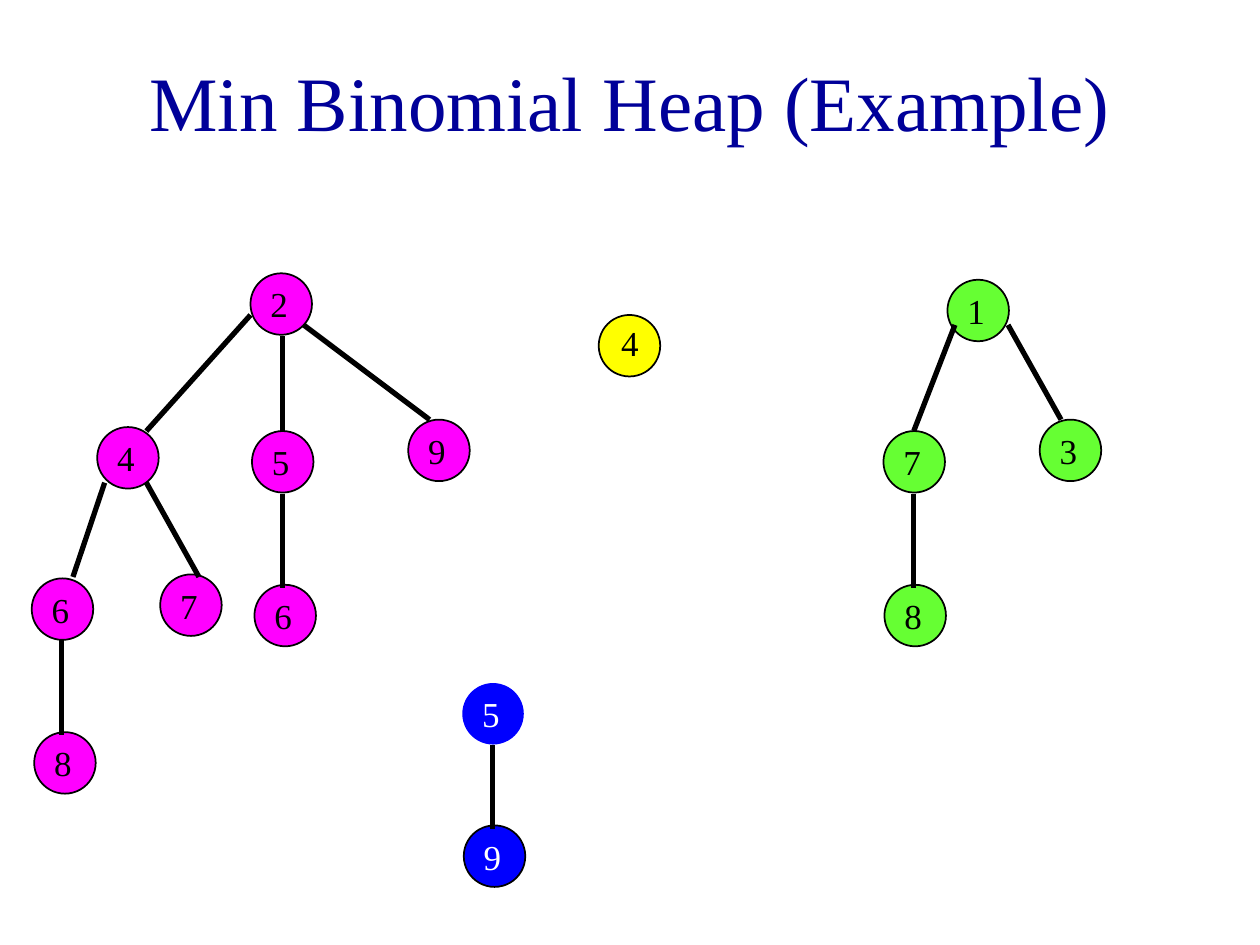
from pptx import Presentation
from pptx.dml.color import RGBColor
from pptx.enum.shapes import MSO_CONNECTOR, MSO_SHAPE
from pptx.enum.text import MSO_ANCHOR, MSO_AUTO_SIZE, PP_ALIGN
from pptx.oxml.ns import qn
from pptx.util import Cm, Pt
from lxml.etree import SubElement

BLACK = RGBColor(0x00, 0x00, 0x00)
WHITE = RGBColor(0xFF, 0xFF, 0xFF)
NAVY = RGBColor(0x00, 0x00, 0x99)
YELLOW = RGBColor(0xFF, 0xFF, 0x00)
GREEN = RGBColor(0x66, 0xFF, 0x33)
BLUE = RGBColor(0x00, 0x00, 0xFF)
MAGENTA = RGBColor(0xFF, 0x00, 0xFF)

FONT = "Times New Roman"
TITLE = "Min Binomial Heap (Example)"
NODE_SIZE = 1.24
LABEL_SIZE = (0.86, 1.09)
LABEL_SHIFT = (0.15, 0.07)

# fmt: off
TREES = [
    {"fill": YELLOW, "text": BLACK, "shift": (0.2, 0),
     "nodes": [("4", 12.07, 6.35)],
     "edges": []},
    {"fill": GREEN, "text": BLACK,
     "nodes": [("1", 19.1, 5.64), ("7", 17.81, 8.69),
               ("3", 20.96, 8.46), ("8", 17.83, 11.79)],
     "edges": [(18.42, 9.96, 18.42, 11.86), (19.25, 6.55, 18.42, 8.69),
               (20.32, 6.55, 21.39, 8.46)]},
    {"fill": BLUE, "text": WHITE, "plain_root": True,
     "nodes": [("5", 9.32, 13.77), ("9", 9.35, 16.64)],
     "edges": [(9.93, 15.01, 9.93, 16.71)]},
    {"fill": MAGENTA, "text": BLACK,
     "nodes": [("2", 5.05, 5.51), ("5", 5.08, 8.69), ("9", 8.23, 8.46),
               ("6", 5.13, 11.79), ("4", 1.96, 8.61), ("6", 0.64, 11.66),
               ("7", 3.23, 11.58), ("8", 0.69, 14.76)],
     "edges": [(5.69, 9.96, 5.69, 11.86), (5.69, 6.78, 5.69, 8.69),
               (6.12, 6.55, 8.66, 8.46), (1.24, 12.9, 1.24, 14.81),
               (2.11, 9.73, 1.47, 11.63), (2.95, 9.73, 4.01, 11.63),
               (5.05, 6.35, 2.95, 8.69)]},
]
# fmt: on


def set_all(obj, values):
    for name, value in values.items():
        setattr(obj, name, value)


def write(tf, text, size, color):
    p = tf.paragraphs[0]
    r = p.add_run()
    r.text = text
    set_all(r.font, {"name": FONT, "size": Pt(size)})
    r.font.color.rgb = color
    return p


def add_node(shapes, x, y, fill, outlined):
    sp = shapes.add_shape(MSO_SHAPE.OVAL, Cm(x), Cm(y), Cm(NODE_SIZE), Cm(NODE_SIZE))
    sp.shadow.inherit = False
    sp.fill.solid()
    sp.fill.fore_color.rgb = fill
    if outlined:
        sp.line.color.rgb = BLACK
        sp.line.width = Pt(1)
    else:
        sp.line.fill.background()


def add_label(shapes, text, x, y, color):
    tf = shapes.add_textbox(Cm(x), Cm(y), *map(Cm, LABEL_SIZE)).text_frame
    set_all(tf, {"word_wrap": False, "auto_size": MSO_AUTO_SIZE.SHAPE_TO_FIT_TEXT})
    write(tf, text, 20, color)


def add_edge(shapes, ends):
    line = shapes.add_connector(MSO_CONNECTOR.STRAIGHT, *map(Cm, ends))
    line.line.color.rgb = BLACK
    line.line.width = Pt(3)
    SubElement(line._element.spPr, qn("a:effectLst"))


def add_tree(s, tree):
    shapes = s.shapes.add_group_shape().shapes
    dx, dy = tree.get("shift", LABEL_SHIFT)
    for i, (_, x, y) in enumerate(tree["nodes"]):
        add_node(shapes, x, y, tree["fill"], i > 0 or not tree.get("plain_root"))
    for text, x, y in tree["nodes"]:
        add_label(shapes, text, x + dx, y + dy, tree["text"])
    for ends in tree["edges"]:
        add_edge(shapes, ends)


def main():
    prs = Presentation()
    set_all(prs, {"slide_width": Cm(25.4), "slide_height": Cm(19.05)})
    s = prs.slides.add_slide(prs.slide_layouts[5])

    title = s.shapes.title
    set_all(title, {"left": Cm(1.9), "top": Cm(0.43), "width": Cm(21.6), "height": Cm(3.18)})
    title.text_frame.vertical_anchor = MSO_ANCHOR.MIDDLE
    write(title.text_frame, TITLE, 44, NAVY).alignment = PP_ALIGN.CENTER

    for tree in TREES:
        add_tree(s, tree)
    prs.save("out.pptx")


if __name__ == "__main__":
    main()
